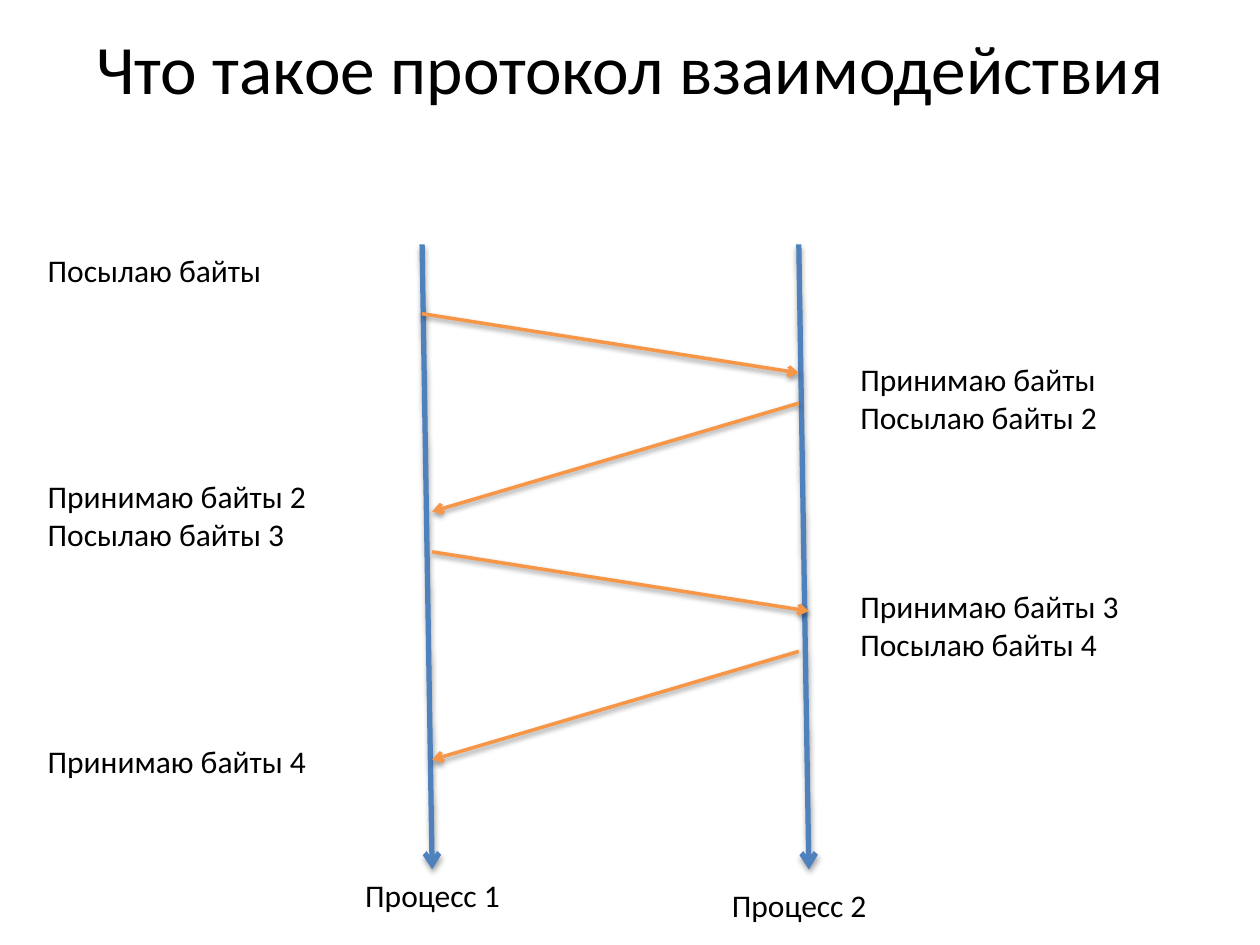
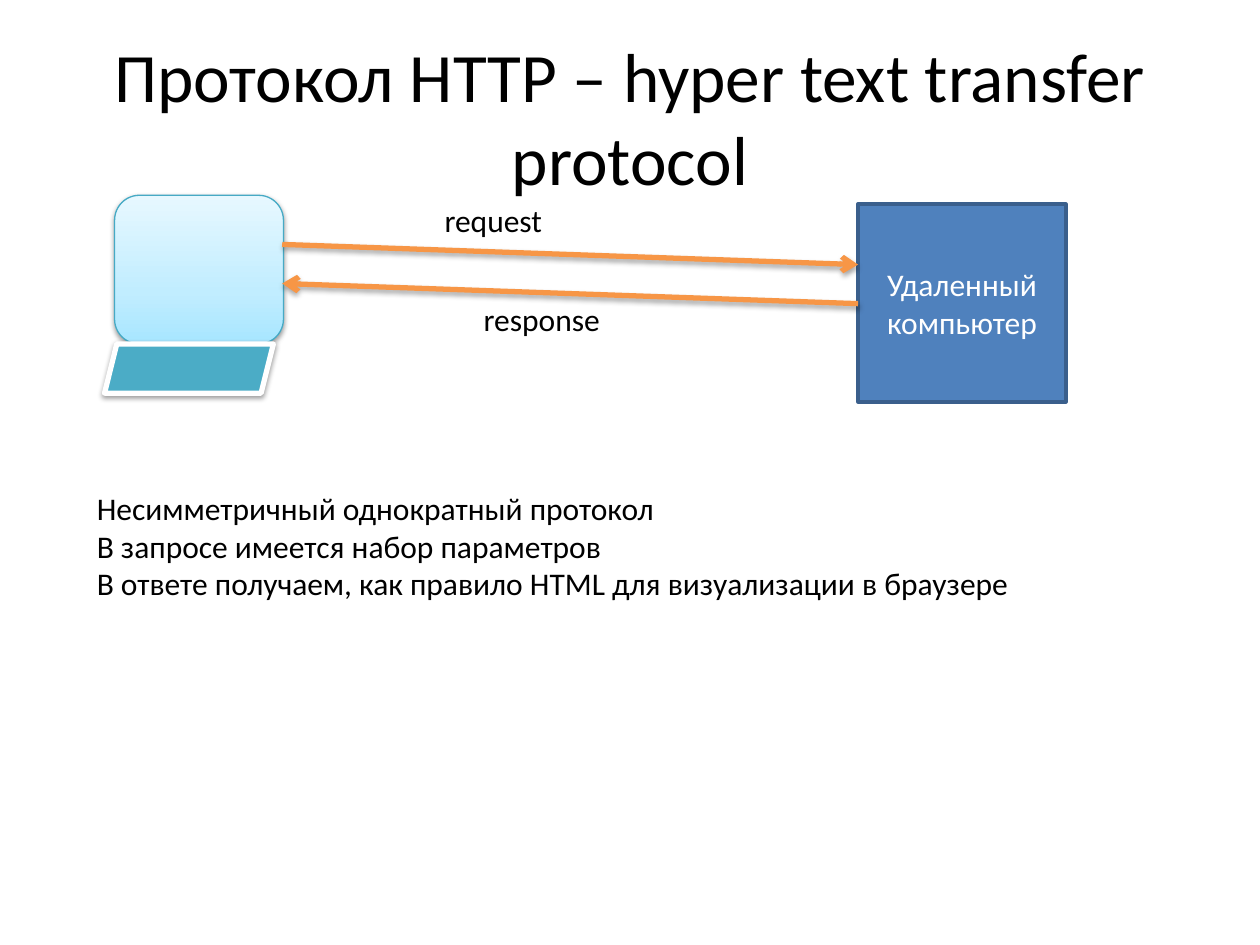
from copy import deepcopy

from pptx import Presentation
from pptx.dml.color import RGBColor
from pptx.enum.shapes import MSO_CONNECTOR as Connector, MSO_SHAPE as Shape
from pptx.enum.text import MSO_ANCHOR as Anchor, PP_ALIGN as Align
from pptx.oxml import parse_xml
from pptx.oxml.ns import nsdecls, qn
from pptx.util import Inches, Pt

# Shared style
BLACK = RGBColor(0x00, 0x00, 0x00)
WHITE = RGBColor(0xFF, 0xFF, 0xFF)
BLUE = RGBColor(0x4F, 0x81, 0xBD)
DARK_BLUE = RGBColor(0x3A, 0x5F, 0x8C)
ORANGE = RGBColor(0xF7, 0x96, 0x46)
TEAL = RGBColor(0x4B, 0xAC, 0xC6)
TEAL_EDGE = RGBColor(0x46, 0xAA, 0xC5)
SCREEN_GLOW = [(0, RGBColor(0xA7, 0xE6, 0xFF)),
               (0.35, RGBColor(0xC1, 0xED, 0xFF)),
               (1, RGBColor(0xE7, 0xF8, 0xFF))]
FONT = "Calibri"
TITLE_SIZE = Pt(39.6)
TEXT_SIZE = Pt(18)
LINE_PITCH = 21.6


def style_font(font, size, color):
    font.name, font.size, font.color.rgb = FONT, size, color


def cast_shadow(shape, distance, opacity):
    """Add a soft shadow below; call after the fill and line are set."""
    shape._element.spPr.append(parse_xml(
        f'<a:effectLst {nsdecls("a")}>'
        f'<a:outerShdw blurRad="{Pt(3.1)}" dist="{Pt(distance)}" dir="5400000" rotWithShape="0">'
        f'<a:srgbClr val="000000"><a:alpha val="{opacity * 1000}"/></a:srgbClr>'
        '</a:outerShdw></a:effectLst>'))


prs = Presentation()
prs.slide_width, prs.slide_height = Inches(10), Inches(7.5)

# Slides and titles
slides = []
for heading, height in [("Что такое протокол взаимодействия", 0.46),
                        ("Протокол HTTP – hyper text transfer protocol", 1.25)]:
    slide = prs.slides.add_slide(prs.slide_layouts[5])
    title = slide.shapes.title
    title.left, title.top = Inches(0.5), Inches(0.3)
    title.width, title.height = Inches(9), Inches(height)
    title.text_frame.text = heading
    title.text_frame.vertical_anchor = Anchor.MIDDLE
    title.text_frame.paragraphs[0].alignment = Align.CENTER
    style_font(title.text_frame.paragraphs[0].runs[0].font, TITLE_SIZE, BLACK)
    slides.append(slide)
exchange, http = slides

# Remote computer
remote = http.shapes.add_shape(Shape.RECTANGLE, Inches(6.81), Inches(1.62),
                               Inches(1.65), Inches(1.57))
remote.shadow.inherit = False
remote.fill.solid()
remote.fill.fore_color.rgb = BLUE
remote.line.color.rgb, remote.line.width = DARK_BLUE, Pt(2)
remote.text_frame.text = "Удаленный компьютер"
remote.text_frame.word_wrap = True
remote.text_frame.vertical_anchor = Anchor.MIDDLE
remote.text_frame.paragraphs[0].alignment = Align.CENTER
style_font(remote.text_frame.paragraphs[0].runs[0].font, TEXT_SIZE, WHITE)

# Laptop: glowing screen above a slanted keyboard
laptop = http.shapes.add_group_shape()
screen = laptop.shapes.add_shape(Shape.ROUNDED_RECTANGLE, Inches(0.91), Inches(1.55),
                                 Inches(1.34), Inches(1.18))
screen.fill.gradient()
screen.fill.gradient_angle = 90
stop_list = screen._element.spPr.find(".//" + qn("a:gsLst"))
stop_list.insert(1, deepcopy(stop_list[0]))
for stop, (position, color) in zip(screen.fill.gradient_stops, SCREEN_GLOW):
    stop.position, stop.color.rgb = position, color
screen.line.color.rgb, screen.line.width = TEAL_EDGE, Pt(0.75)

keyboard = laptop.shapes.add_shape(Shape.PARALLELOGRAM, Inches(0.83), Inches(2.73),
                                   Inches(1.34), Inches(0.39))
keyboard.fill.solid()
keyboard.fill.fore_color.rgb = TEAL
keyboard.line.color.rgb, keyboard.line.width = WHITE, Pt(3)
for part in (screen, keyboard):
    cast_shadow(part, 1.6, 38)

# Process timelines, messages between them, request and response
arrows = [
    (exchange, 3.35, 1.94, 3.43, 6.9, BLUE, 3),
    (exchange, 6.34, 1.94, 6.42, 6.9, BLUE, 3),
    (exchange, 3.35, 2.49, 6.34, 2.96, ORANGE, 2),
    (exchange, 6.34, 3.2, 3.43, 4.06, ORANGE, 2),
    (exchange, 3.43, 4.38, 6.42, 4.85, ORANGE, 2),
    (exchange, 6.34, 5.17, 3.43, 6.03, ORANGE, 2),
    (http, 2.24, 1.94, 6.81, 2.1, ORANGE, 3),
    (http, 6.81, 2.41, 2.24, 2.25, ORANGE, 3),
]
for slide, x1, y1, x2, y2, color, weight in arrows:
    arrow = slide.shapes.add_connector(Connector.STRAIGHT, Inches(x1), Inches(y1),
                                       Inches(x2), Inches(y2))
    arrow.line.color.rgb, arrow.line.width = color, Pt(weight)
    arrow.line._get_or_add_ln().append(
        parse_xml(f'<a:tailEnd {nsdecls("a")} type="arrow"/>'))
    if weight == 3:
        cast_shadow(arrow, 1.8, 35)
    else:
        cast_shadow(arrow, 1.6, 38)

# Captions and notes: groups of lines, with the number of free lines between groups
captions = [
    (exchange, 2.8, 6.9, 1.42, 0.4, 0, [["Процесс 1"]]),
    (exchange, 5.71, 6.98, 1.42, 0.4, 0, [["Процесс 2"]]),
    (exchange, 0.28, 1.94, 2.36, 4.34, 5,
     [["Посылаю байты"],
      ["Принимаю байты 2", "Посылаю байты 3"],
      ["Принимаю байты 4"]]),
    (exchange, 6.73, 2.81, 2.36, 2.52, 4,
     [["Принимаю байты", "Посылаю байты 2"],
      ["Принимаю байты 3", "Посылаю байты 4"]]),
    (http, 3.43, 1.55, 1.02, 0.4, 0, [["request"]]),
    (http, 3.74, 2.33, 1.18, 0.4, 0, [["response"]]),
    (http, 0.67, 3.83, 8.66, 1.62, 0,
     [["Несимметричный однократный протокол",
       "В запросе имеется набор параметров",
       "В ответе получаем, как правило HTML для визуализации в браузере"]]),
]
for slide, left, top, width, height, free_lines, groups in captions:
    frame = slide.shapes.add_textbox(Inches(left), Inches(top),
                                     Inches(width), Inches(height)).text_frame
    frame.word_wrap = True
    frame.text = "\n".join(line for group in groups for line in group)
    for paragraph in frame.paragraphs:
        style_font(paragraph.runs[0].font, TEXT_SIZE, BLACK)
    group_start = 0
    for group in groups[:-1]:
        group_start += len(group)
        frame.paragraphs[group_start].space_before = Pt(free_lines * LINE_PITCH)

prs.save("out.pptx")
